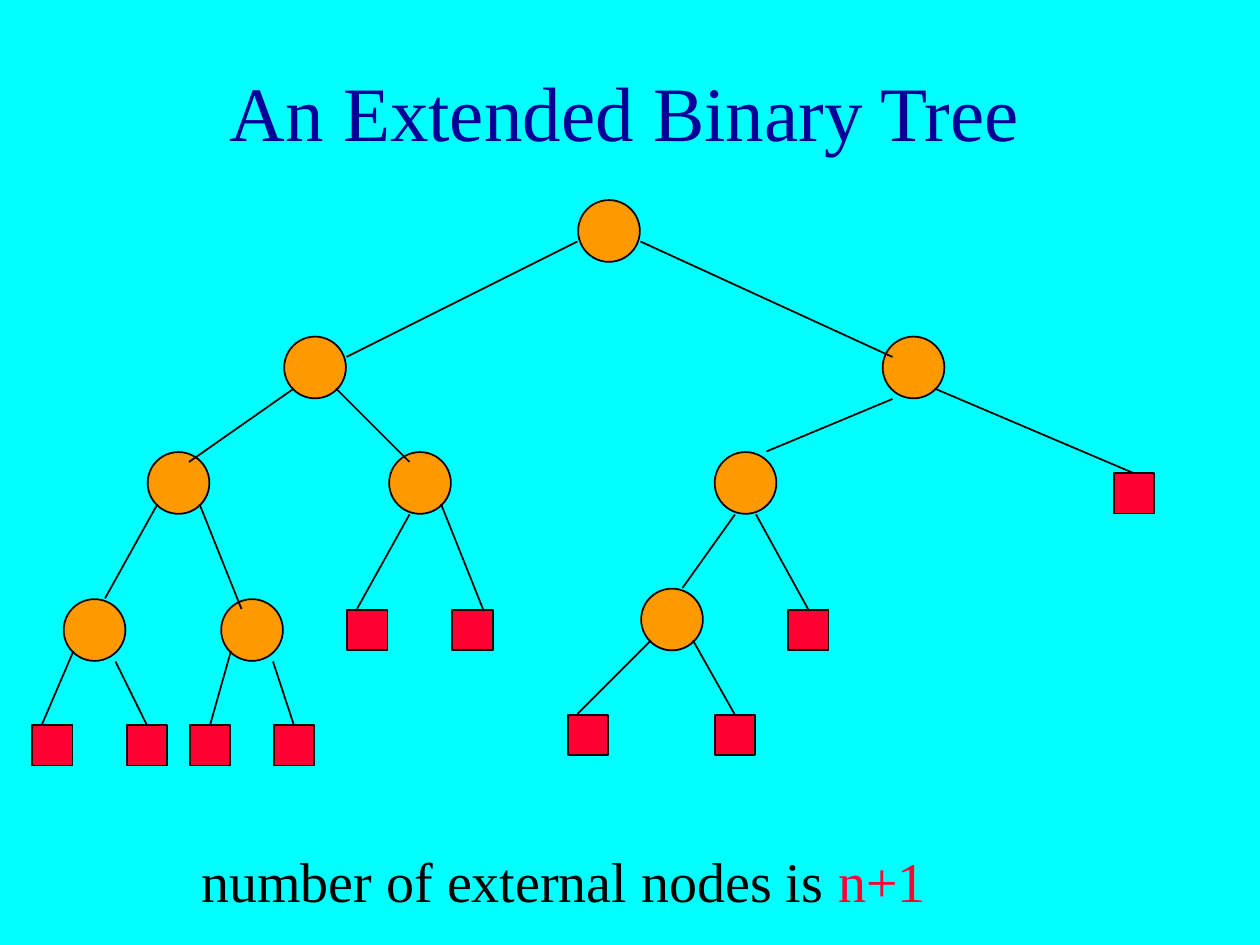
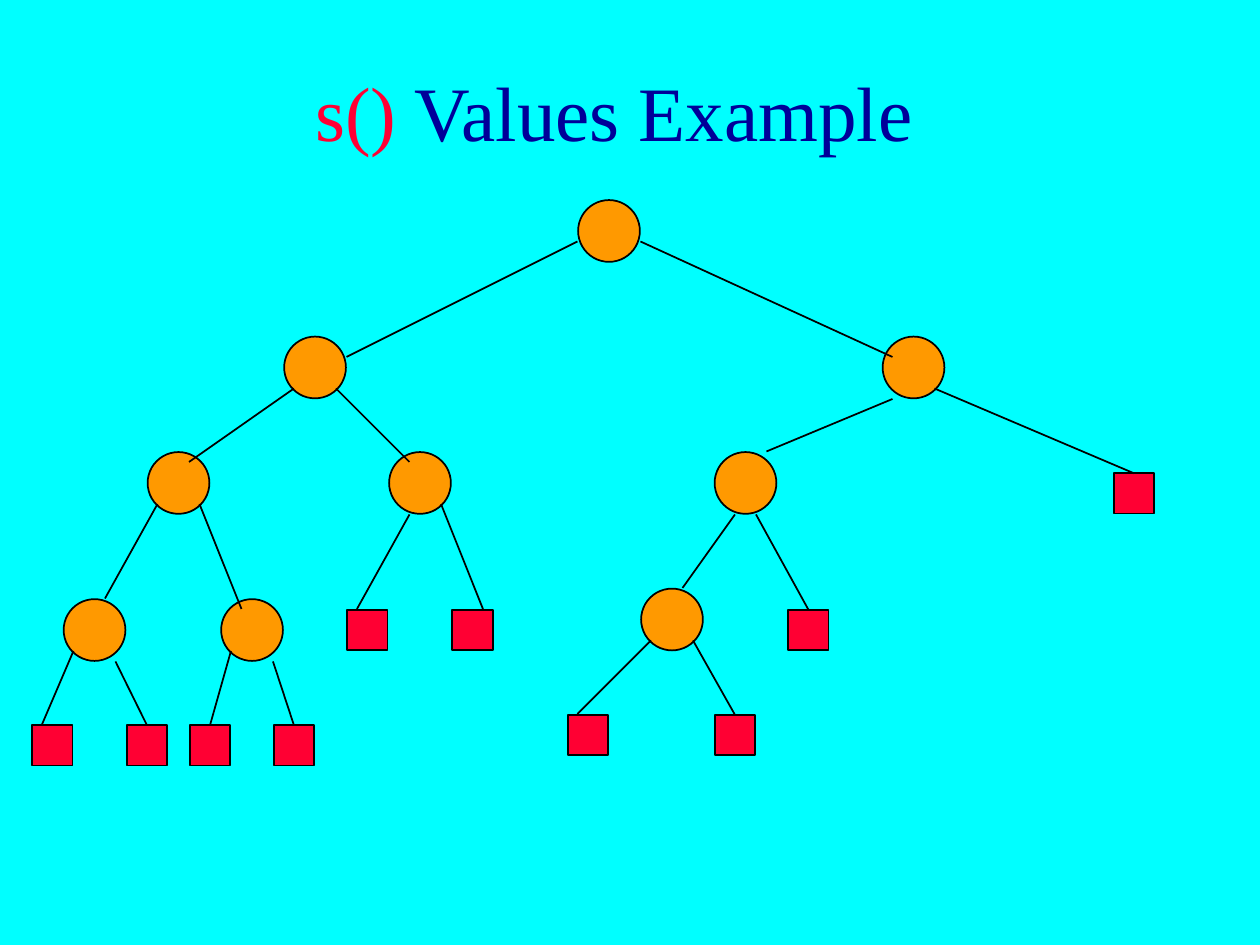
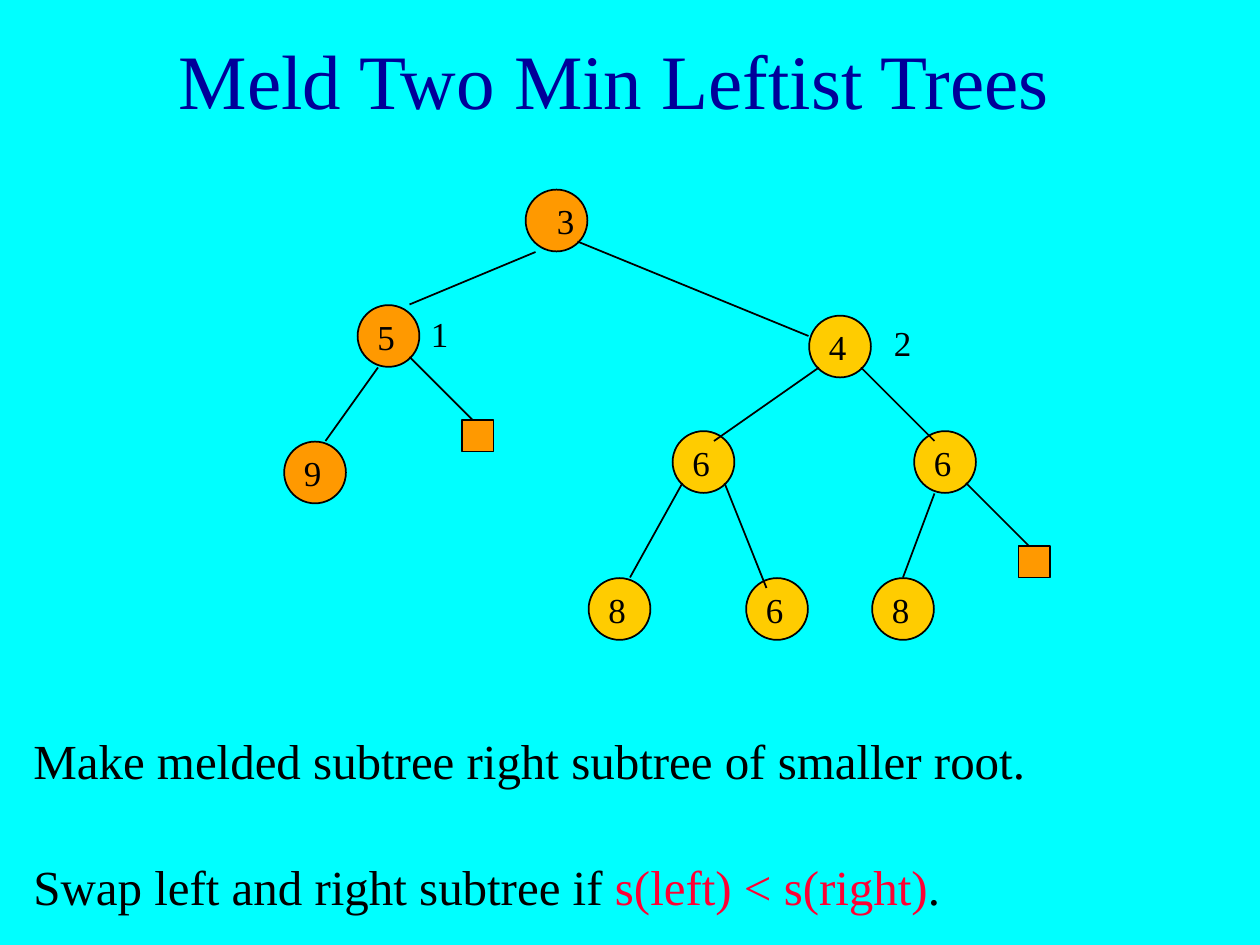
from dataclasses import dataclass

from lxml import etree
from pptx import Presentation
from pptx.dml.color import RGBColor
from pptx.enum.shapes import MSO_CONNECTOR, MSO_SHAPE
from pptx.enum.text import MSO_ANCHOR, MSO_AUTO_SIZE, PP_ALIGN
from pptx.oxml.ns import qn
from pptx.util import Cm, Pt

OVAL = MSO_SHAPE.OVAL
RECT = MSO_SHAPE.RECTANGLE
LINE = MSO_CONNECTOR.STRAIGHT
LEFT, CENTER = PP_ALIGN.LEFT, PP_ALIGN.CENTER
TOP, MIDDLE = MSO_ANCHOR.TOP, MSO_ANCHOR.MIDDLE
GROW, FIXED = MSO_AUTO_SIZE.SHAPE_TO_FIT_TEXT, MSO_AUTO_SIZE.NONE
UNIT = 2.54 / 12


@dataclass(frozen=True)
class Theme:
    font: str = "Times New Roman"
    back: str = "00FFFF"
    head: str = "000099"
    ink: str = "000000"
    red: str = "FF0033"
    orange: str = "FF9900"
    gold: str = "FFCC00"
    title: int = 44
    note: int = 32
    body: int = 28
    label: int = 20
    line: int = 1
    node: float = 5.88
    leaf: float = 3.84
    stub: float = 3


def grid(*vals):
    return [Cm(val * UNIT) for val in vals]


class Deck:
    def __init__(self, theme):
        self.theme = theme
        self.prs = Presentation()
        self.prs.slide_width, self.prs.slide_height = Cm(25.4), Cm(19.05)

    def start(self, left, top, *runs):
        self.slide = self.prs.slides.add_slide(self.prs.slide_layouts[6])
        fill = self.slide.background.fill
        fill.solid()
        fill.fore_color.rgb = RGBColor.from_string(self.theme.back)
        self.loose()
        self.text(left, top, 117, 15, runs, self.theme.title, CENTER, MIDDLE, FIXED)

    def loose(self):
        self.items = self.slide.shapes
        self.tops = {}

    def group(self):
        self.items = self.slide.shapes.add_group_shape().shapes
        self.tops = {}

    def text(self, left, top, width, height, runs, size,
             align=LEFT, anchor=TOP, fit=GROW, wrap=True):
        box = self.items.add_textbox(*grid(left, top, width, height))
        frame = box.text_frame
        frame.word_wrap = wrap
        frame.auto_size = fit
        frame.vertical_anchor = anchor
        para = frame.paragraphs[0]
        para.alignment = align
        for words, color in runs:
            run = para.add_run()
            run.text = words
            run.font.name = self.theme.font
            run.font.size = Pt(size)
            run.font.color.rgb = RGBColor.from_string(color)

    def label(self, words, x, y):
        wide, high = 4.08, 5.16
        self.text(x - wide / 2, y - high / 2, wide, high,
                  [(words, self.theme.ink)], self.theme.label, wrap=False)

    def mark(self, kind, x, y, size, color):
        shape = self.items.add_shape(kind, *grid(x - size / 2, y - size / 2, size, size))
        shape.shadow.inherit = False
        shape.fill.solid()
        shape.fill.fore_color.rgb = RGBColor.from_string(color)
        self.stroke(shape)
        return shape

    def node(self, x, y, color):
        self.mark(OVAL, x, y, self.theme.node, color)

    def leaf(self, x, y):
        self.tops[x, y - 2] = self.mark(RECT, x, y, self.theme.leaf, self.theme.red)

    def stub(self, x, y):
        self.mark(RECT, x, y, self.theme.stub, self.theme.orange)

    def edge(self, *ends):
        link = self.items.add_connector(LINE, *grid(*ends))
        self.stroke(link)
        etree.SubElement(link._element.spPr, qn("a:effectLst"))
        leaf = self.tops.get(ends[2:])
        if leaf is not None:
            link.end_connect(leaf, 0)

    def stroke(self, shape):
        shape.line.color.rgb = RGBColor.from_string(self.theme.ink)
        shape.line.width = Pt(self.theme.line)

    def tree(self, nodes, edges, leaves=(), color=None):
        for x, y in nodes:
            self.node(x, y, color or self.theme.orange)
        for spot in leaves:
            self.leaf(*spot)
        for ends in edges:
            self.edge(*ends)

    def heap(self, keys, edges, color):
        self.group()
        self.tree([spot[:2] for spot in keys], edges, color=color)
        for x, y, key, shift in keys:
            self.label(key, x + shift, y)


NODES = [(58, 22), (30, 35), (87, 35), (17, 46), (40, 46), (71, 46),
         (9, 60), (24, 60), (64, 59)]
LEAVES = [(35, 60), (45, 60), (77, 60), (108, 47), (5, 71), (14, 71),
          (20, 71), (28, 71), (56, 70), (70, 70)]
EDGES = [(55, 23, 33, 34), (61, 23, 85, 34), (28, 37, 18, 44),
         (32, 37, 39, 44), (85, 38, 73, 43), (89, 37, 108, 45),
         (15, 48, 10, 57), (19, 48, 23, 58), (39, 49, 34, 58),
         (42, 48, 46, 58), (70, 49, 65, 56), (72, 49, 77, 58),
         (7, 62, 4, 69), (11, 63, 14, 69), (22, 62, 20, 69),
         (26, 63, 28, 69), (62, 61, 55, 68), (66, 61, 70, 68)]

SMALL = [(53, 21, "3", 0.9), (37, 32, "5", -0.2), (30, 45, "9", -0.2)]
LINKS = [(51, 24, 39, 29), (36, 35, 31, 42)]
LARGE = [(80, 33, "4", -0.2), (67, 44, "6", -0.2), (90, 44, "6", -0.2),
         (59, 58, "8", -0.2), (74, 58, "6", -0.2), (86, 58, "8", -0.2)]
BONDS = [(78, 35, 68, 42), (82, 35, 89, 42), (65, 46, 60, 55),
         (69, 46, 73, 56), (89, 47, 86, 55)]


def main():
    theme = Theme()
    deck = Deck(theme)

    deck.start(1, 3, ("An Extended Binary Tree", theme.head))
    deck.tree(NODES, EDGES, LEAVES)
    deck.text(18, 80, 79, 7.5, [("number of external nodes is ", theme.ink),
                                ("n+1", theme.red)], theme.note)

    deck.start(0, 3, ("s()", theme.red), (" Values Example", theme.head))
    deck.group()
    deck.tree(NODES, EDGES, LEAVES)

    deck.start(0, 0, ("Meld Two Min Leftist Trees", theme.head))
    deck.heap(SMALL, LINKS, theme.orange)
    deck.heap(LARGE, BONDS, theme.gold)
    deck.loose()
    deck.text(2, 69, 105, 6.8, [("Make melded subtree right subtree of smaller root.",
                                 theme.ink)], theme.body)
    deck.text(2, 81, 98, 6.8, [("Swap left and right subtree if ", theme.ink),
                               ("s(left) < s(right)", theme.red),
                               (".", theme.ink)], theme.body)
    deck.label("1", 41.9, 31.8)
    deck.label("2", 86, 32.6)
    for x, y in [(45.5, 41.5), (98.5, 53.5)]:
        deck.stub(x, y)
    for ends in [(55, 23, 77, 32), (39, 34, 45, 40), (92, 46, 98, 52)]:
        deck.edge(*ends)

    deck.prs.save("out.pptx")


if __name__ == "__main__":
    main()
